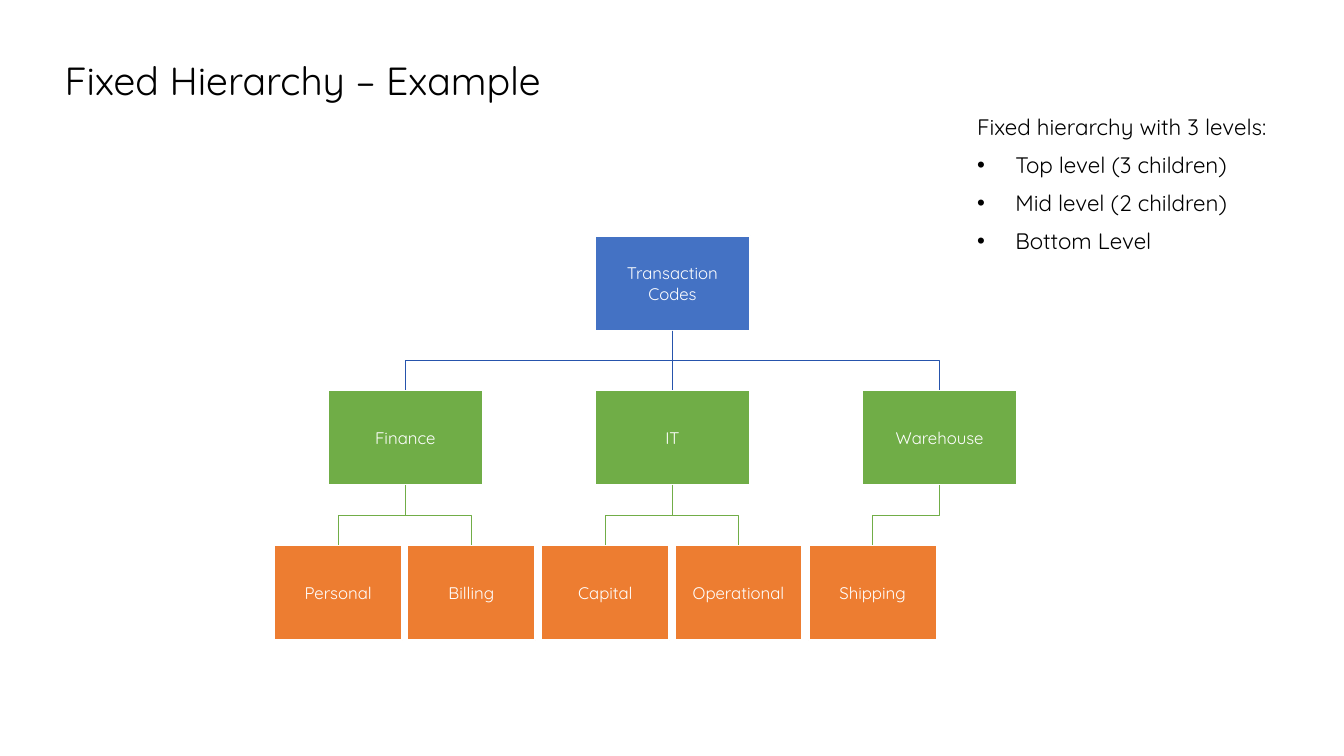
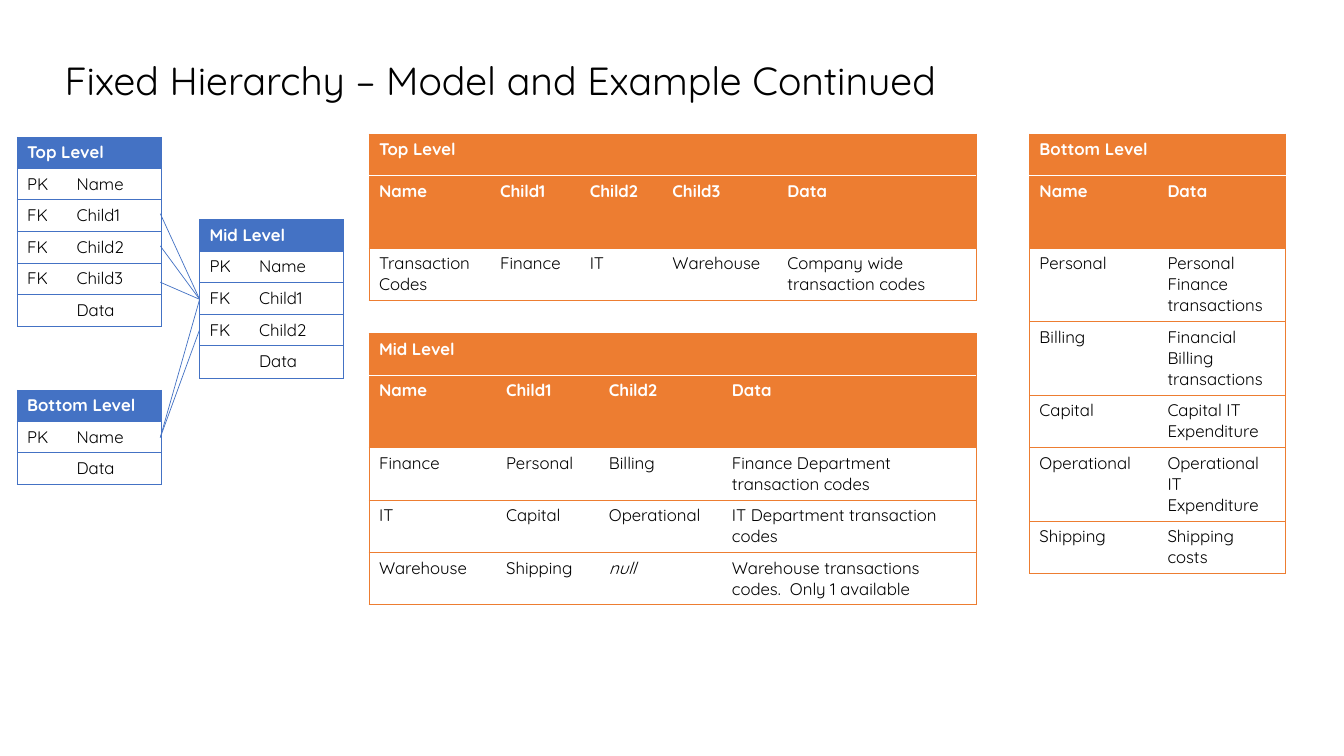
from dataclasses import dataclass

from lxml import etree
from pptx import Presentation
from pptx.dml.color import RGBColor
from pptx.enum.shapes import MSO_CONNECTOR, MSO_SHAPE
from pptx.enum.text import MSO_ANCHOR, MSO_AUTO_SIZE, PP_ALIGN
from pptx.oxml.ns import qn
from pptx.shapes.autoshape import Shape
from pptx.shapes.connector import Connector
from pptx.slide import Slide
from pptx.table import _Cell
from pptx.util import Emu, Pt

RECT = MSO_SHAPE.RECTANGLE
STRAIGHT, ELBOW = MSO_CONNECTOR.STRAIGHT, MSO_CONNECTOR.ELBOW
TOP, MIDDLE = MSO_ANCHOR.TOP, MSO_ANCHOR.MIDDLE
LEFT, CENTER = PP_ALIGN.LEFT, PP_ALIGN.CENTER
NO_AUTOFIT = MSO_AUTO_SIZE.NONE

BLACK = RGBColor(0x00, 0x00, 0x00)
WHITE = RGBColor(0xFF, 0xFF, 0xFF)
BLUE = RGBColor(0x44, 0x72, 0xC4)
GREEN = RGBColor(0x70, 0xAD, 0x47)
ORANGE = RGBColor(0xED, 0x7D, 0x31)
BLUE_LINE = RGBColor(0x26, 0x54, 0xAC)
GREEN_LINE = RGBColor(0x71, 0xAD, 0x47)

FONT = "Quicksand"
THIN = Pt(0.5)
EMU_PER_PX = 9144  # 100 px to the inch
CONTENT_LAYOUT, TITLE_LAYOUT = 1, 5
PLAIN_TABLE = "{2D5ABB26-0587-4C30-8999-92F81FD0307C}"
BOTTOM_SITE, TOP_SITE = 2, 0

BOX_H = 94
ROOT_Y, MID_Y, LEAF_Y = 234, 387, 541
MID_X, MID_W, MID_STEP = 325, 154, 265
LEAF_X, LEAF_W = 272, 127


@dataclass(frozen=True)
class Grid:
    """A table whose title spans the first row; head_rows rows are filled."""
    x: int
    y: int
    cols: tuple[int, ...]
    heights: tuple[int, ...]
    title: str
    rows: tuple[tuple[str, ...], ...]
    accent: RGBColor = ORANGE
    head_rows: int = 2


@dataclass(frozen=True)
class Link:
    x1: int
    y1: int
    x2: int
    y2: int


DEPARTMENTS = {
    "Finance": ("Personal", "Billing"),
    "IT": ("Capital", "Operational"),
    "Warehouse": ("Shipping",),
}
LEVELS = ("Top level (3 children)", "Mid level (2 children)", "Bottom Level")


def model(x: int, y: int, height: int, title: str, children: int) -> Grid:
    """Key table of one level: its name, its child keys and its data."""
    keys = tuple(("FK", f"Child{i + 1}") for i in range(children))
    rows = (("PK", "Name"), *keys, ("", "Data"))
    count = len(rows) + 1
    edges = [height * i // count for i in range(count + 1)]
    heights = tuple(b - a for a, b in zip(edges, edges[1:]))
    return Grid(x, y, (49, 94), heights, title, rows, BLUE, 1)


GRIDS = (
    model(17, 136, 188, "Top Level", 3),
    model(198, 218, 157, "Mid Level", 2),
    model(17, 387, 94, "Bottom Level", 0),
    Grid(366, 133, (120, 89, 82, 114, 197), (41, 72, 52), "Top Level", (
        ("Name", "Child1", "Child2", "Child3", "Data"),
        ("Transaction Codes", "Finance", "IT", "Warehouse",
         "Company wide transaction codes"),
    )),
    Grid(366, 331, (126, 102, 122, 252), (41, 72, 52, 52, 52), "Mid Level", (
        ("Name", "Child1", "Child2", "Data"),
        ("Finance", "Personal", "Billing",
         "Finance Department transaction codes"),
        ("IT", "Capital", "Operational", "IT Department transaction codes"),
        ("Warehouse", "Shipping", "null",
         "Warehouse transactions codes.  Only 1 available"),
    )),
    Grid(1021, 133, (127, 127), (41, 72, 73, 73, 52, 73, 52), "Bottom Level", (
        ("Name", "Data"),
        ("Personal", "Personal Finance transactions"),
        ("Billing", "Financial Billing transactions"),
        ("Capital", "Capital IT Expenditure"),
        ("Operational", "Operational IT Expenditure"),
        ("Shipping", "Shipping costs"),
    )),
)
LINKS = (
    Link(159, 212, 198, 297),
    Link(159, 244, 198, 297),
    Link(159, 280, 198, 297),
    Link(159, 434, 198, 297),
    Link(159, 434, 198, 327),
)


def px(n: int) -> Emu:
    return Emu(n * EMU_PER_PX)


def add_run(p, text: str, size: int, color: RGBColor,
            bold: bool = False, italic: bool = False) -> None:
    r = p.add_run()
    r.text = text
    f = r.font
    f.name, f.size, f.bold, f.italic = FONT, Pt(size), bold, italic
    f.color.rgb = color


def place(sp: Shape, x: int, y: int, w: int, h: int, anchor: MSO_ANCHOR) -> None:
    """Move a placeholder and fix how its text sits."""
    sp.left, sp.top, sp.width, sp.height = px(x), px(y), px(w), px(h)
    tf = sp.text_frame
    tf.word_wrap, tf.auto_size, tf.vertical_anchor = True, NO_AUTOFIT, anchor


def add_slide(prs: Presentation, layout: int, title: str) -> Slide:
    s = prs.slides.add_slide(prs.slide_layouts[layout])
    sp = s.shapes.title
    place(sp, 54, 54, 1156, 56, MIDDLE)
    p = sp.text_frame.paragraphs[0]
    p.alignment, p.line_spacing, p.space_before = LEFT, 0.9, Pt(0)
    add_run(p, title, 28, BLACK)
    return s


def fill_list(sp: Shape, lead: str, items: tuple[str, ...]) -> None:
    """Write an unmarked lead line with bulleted items under it."""
    tf = sp.text_frame
    for i, text in enumerate((lead, *items)):
        p = tf.add_paragraph() if i else tf.paragraphs[0]
        indent = px(38) if i else 0
        pPr = p._p.get_or_add_pPr()
        pPr.set("marL", str(indent))
        pPr.set("indent", str(-indent))
        if i:
            etree.SubElement(pPr, qn("a:buFont"), typeface="Arial")
            etree.SubElement(pPr, qn("a:buChar"), char="•")
        else:
            etree.SubElement(pPr, qn("a:buNone"))
        p.alignment, p.line_spacing = LEFT, 0.9
        p.space_before = Pt(10 if i else 0)
        add_run(p, text, 16, BLACK)


def add_box(s: Slide, x: int, y: int, w: int, text: str, fill: RGBColor) -> Shape:
    sp = s.shapes.add_shape(RECT, px(x), px(y), px(w), px(BOX_H))
    sp.shadow.inherit = False
    sp.fill.solid()
    sp.fill.fore_color.rgb = fill
    sp.line.color.rgb, sp.line.width = WHITE, Pt(1.5)
    tf = sp.text_frame
    tf.word_wrap, tf.vertical_anchor = True, MIDDLE
    p = tf.paragraphs[0]
    p.alignment = CENTER
    add_run(p, text, 12, WHITE)
    return sp


def style_line(c: Connector, color: RGBColor) -> None:
    c.line.color.rgb, c.line.width = color, THIN
    etree.SubElement(c._element.spPr, qn("a:effectLst"))


def connect(s: Slide, parent: Shape, child: Shape, color: RGBColor) -> None:
    """Join parent to child, leaving and arriving vertically."""
    x1, y1 = parent.left + parent.width // 2, parent.top + parent.height
    x2, y2 = child.left + child.width // 2, child.top
    dx, dy = x2 - x1, y2 - y1
    c = s.shapes.add_connector(ELBOW if dx else STRAIGHT, x1, y1, x2, y2)
    c.begin_connect(parent, BOTTOM_SITE)
    c.end_connect(child, TOP_SITE)
    if dx:
        # An elbow starts sideways, so it is turned by a quarter.
        c.left, c.top = (x1 + x2 - dy) // 2, (y1 + y2 - abs(dx)) // 2
        c.width, c.height = dy, abs(dx)
        xfrm = c._element.spPr.find(qn("a:xfrm"))
        xfrm.set("rot", str((270 if dx > 0 else 90) * 60000))
        xfrm.set("flipH", "1" if dx > 0 else "0")
        xfrm.set("flipV", "0")
    style_line(c, color)


def add_border(cell: _Cell, side: str, color: RGBColor) -> None:
    tcPr = cell._tc.get_or_add_tcPr()
    ln = etree.SubElement(tcPr, qn(f"a:ln{side}"), w=str(THIN))
    fill = etree.SubElement(ln, qn("a:solidFill"))
    etree.SubElement(fill, qn("a:srgbClr"), val=str(color))


def fill_cell(cell: _Cell, text: str, grid: Grid, row: int, col: int) -> None:
    last_col = len(grid.cols) - 1
    head = row < grid.head_rows
    if col == 0:
        add_border(cell, "L", grid.accent)
    if col == last_col or cell.is_merge_origin:
        add_border(cell, "R", grid.accent)
    for side, edge in (("T", row), ("B", row + 1)):
        inside_head = 0 < edge < grid.head_rows
        add_border(cell, side, WHITE if inside_head else grid.accent)
    if head:
        cell.fill.solid()
        cell.fill.fore_color.rgb = grid.accent
    else:
        cell.fill.background()
    cell.vertical_anchor = TOP
    p = cell.text_frame.paragraphs[0]
    if text:
        add_run(p, text, 12, WHITE if head else BLACK, head, text == "null")
    else:
        etree.SubElement(p._p, qn("a:endParaRPr"), sz="1200")


def add_grid(s: Slide, grid: Grid) -> None:
    n_rows, n_cols = len(grid.heights), len(grid.cols)
    table = s.shapes.add_table(n_rows, n_cols, px(grid.x), px(grid.y),
                               px(sum(grid.cols)), px(sum(grid.heights))).table
    table.first_row = table.horz_banding = False
    table._tbl.tblPr.find(qn("a:tableStyleId")).text = PLAIN_TABLE
    for column, width in zip(table.columns, grid.cols):
        column.width = px(width)
    for row, height in zip(table.rows, grid.heights):
        row.height = px(height)
    table.cell(0, 0).merge(table.cell(0, n_cols - 1))
    title_row = (grid.title,) + ("",) * (n_cols - 1)
    for i, texts in enumerate((title_row, *grid.rows)):
        for j, text in enumerate(texts):
            fill_cell(table.cell(i, j), text, grid, i, j)


def build_example(prs: Presentation) -> None:
    s = add_slide(prs, CONTENT_LAYOUT, "Fixed Hierarchy – Example")
    body = s.placeholders[1]
    place(body, 959, 110, 329, 182, TOP)
    fill_list(body, "Fixed hierarchy with 3 levels:", LEVELS)
    root = add_box(s, MID_X + MID_STEP, ROOT_Y, MID_W, "Transaction Codes", BLUE)
    for i, (name, codes) in enumerate(DEPARTMENTS.items()):
        mid = add_box(s, MID_X + i * MID_STEP, MID_Y, MID_W, name, GREEN)
        connect(s, root, mid, BLUE_LINE)
        for j, code in enumerate(codes):
            x = LEAF_X + (2 * i + j) * MID_STEP // 2
            leaf = add_box(s, x, LEAF_Y, LEAF_W, code, ORANGE)
            connect(s, mid, leaf, GREEN_LINE)


def build_model(prs: Presentation) -> None:
    s = add_slide(prs, TITLE_LAYOUT,
                  "Fixed Hierarchy – Model and Example Continued")
    for grid in GRIDS:
        add_grid(s, grid)
    for k in LINKS:
        c = s.shapes.add_connector(STRAIGHT, px(k.x1), px(k.y1), px(k.x2), px(k.y2))
        style_line(c, BLUE)


def main() -> None:
    prs = Presentation()
    prs.slide_width, prs.slide_height = px(1333), px(750)
    build_example(prs)
    build_model(prs)
    prs.save("out.pptx")


if __name__ == "__main__":
    main()
